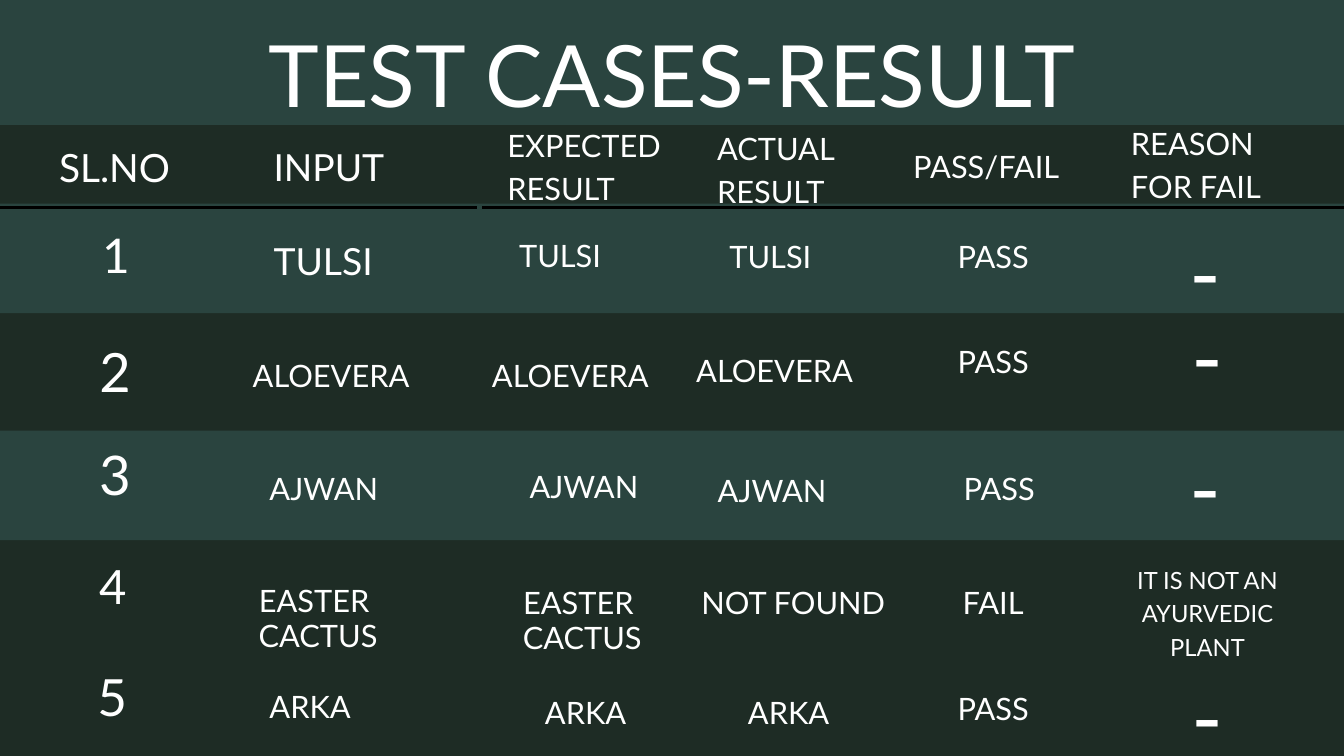
from pptx import Presentation, util as u
from pptx.dml.color import RGBColor
from pptx.enum import shapes, text
from pptx.oxml.ns import qn
from lxml import etree

FONT, WHITE, DARK, GREEN, BLACK = "Lato", "FFFFFF", "1E2C25", "2A443F", "000000"
L, C = text.PP_ALIGN.LEFT, text.PP_ALIGN.CENTER

HEADER = [
    ("SL.NO", 0.83, 0.16, 1.75, 41.7, C),
    ("INPUT", 4.07, 0.17, 2.29, 40, L),
    ("EXPECTED RESULT", 7.55, -0.07, 2.45, 33, L, 2),
    ("ACTUAL RESULT", 10.67, -0.02, 2.29, 33, L, 2),
    ("PASS/FAIL", 13.59, 0.24, 2.57, 33, L),
    ("REASON FOR FAIL", 16.83, -0.1, 2.29, 33, L, 2),
]
ROWS = [
    (3.03, [
        ("1", 1.52, 0.19, 0.38, 51.2, C),
        ("TULSI", 4.07, 0.4, 1.78, 40, L),
        ("TULSI", 7.68, 0.4, 1.31, 33, C, 2),
        ("TULSI", 10.81, 0.41, 1.31, 33, C, 2),
        ("PASS", 14.19, 0.41, 1.18, 33, C),
        ("-", 17.69, -0.01, 0.49, 92, C),
    ]),
    (4.66, [
        ("2", 1.48, 0.21, 0.45, 58, C),
        ("ALOEVERA", 3.76, 0.55, 2.91, 33, L),
        ("ALOEVERA", 7.32, 0.55, 2.91, 33, L),
        ("ALOEVERA", 10.36, 0.48, 2.91, 33, L),
        ("PASS", 14.19, 0.35, 1.18, 33, C),
        ("-", 17.72, -0.4, 0.49, 92, C),
    ]),
    (6.41, [
        ("3", 1.47, -0.01, 0.48, 58.5, C),
        ("AJWAN", 4.01, 0.49, 1.79, 33, L),
        ("AJWAN", 7.88, 0.46, 1.79, 33, L),
        ("AJWAN", 10.68, 0.52, 1.79, 33, L),
        ("PASS", 14.28, 0.49, 1.18, 33, C),
        ("-", 17.69, -0.2, 0.49, 92, C),
    ]),
    (8.04, [
        ("4", 1.46, 0.11, 0.44, 50.6, C),
        ("EASTER\n CACTUS", 2.68, 0.64, 3.99, 33, C, 2, 1.15),
        ("EASTER \nCACTUS", 6.67, 0.67, 3.99, 33, C, 2, 1.15),
        ("NOT FOUND", 9.81, 0.67, 3.99, 33, C, 1, 1.15),
        ("FAIL", 14.28, 0.56, 1, 33, C),
        ("IT IS NOT AN AYURVEDIC PLANT", 16.64, 0.31, 2.66, 25.4, C, 3),
    ]),
    (9.7, [
        ("5", 1.44, 0.04, 0.46, 54.9, C),
        ("ARKA", 4.01, 0.44, 1.34, 33, L),
        ("ARKA", 8.11, 0.53, 1.34, 33, L),
        ("ARKA", 11.13, 0.53, 1.34, 33, L),
        ("PASS", 14.19, 0.47, 1.18, 33, C),
        ("-", 17.72, -0.08, 0.49, 92, C),
    ]),
]


def rgb(value):
    """Turn a hex string into a colour."""
    return RGBColor.from_string(value)


def inches(*values):
    """Convert several numbers to lengths."""
    return [u.Inches(v) for v in values]


def write(sp, words, size, align, leading=1.4):
    """Fill a shape with white text whose line spacing follows its size."""
    tf = sp.text_frame
    tf.text = words
    tf.word_wrap = True
    tf.auto_size = text.MSO_AUTO_SIZE.SHAPE_TO_FIT_TEXT
    tf.vertical_anchor = text.MSO_ANCHOR.TOP
    tf.margin_left = tf.margin_right = tf.margin_top = tf.margin_bottom = 0
    for p in tf.paragraphs:
        p.alignment = align
        p.line_spacing = u.Pt(round(size * leading, 1))
        p.space_before = u.Pt(0)
        for r in p.runs:
            r.font.name, r.font.size = FONT, u.Pt(size)
            r.font.color.rgb = rgb(WHITE)


def add_band(s, left, top, width, height):
    """Draw a plain green band."""
    sp = s.shapes.add_shape(shapes.MSO_SHAPE.RECTANGLE, *inches(left, top, width, height))
    sp.shadow.inherit = False
    sp.fill.solid()
    sp.fill.fore_color.rgb = rgb(GREEN)
    sp.line.fill.background()


def add_title(s, left, top, width, height):
    """Place the title placeholder in front of the bands."""
    sp = s.shapes.title
    sp.left, sp.top, sp.width, sp.height = inches(left, top, width, height)
    write(sp, "TEST CASES-RESULT", 92, C)
    sp.element.getparent().append(sp.element)


def add_row(s, top, cells):
    """Place the cells of one row, measured from the top of the row."""
    for words, left, drop, width, size, align, *rest in cells:
        lines, leading = (*rest, *(1, 1.4)[len(rest):])
        height = round(lines * size * leading * 0.96 / 72, 2)
        sp = s.shapes.add_textbox(*inches(left, top + drop, width, height))
        write(sp, words, size, align, leading)


def add_rule(s, left, top, width):
    """Draw one piece of the line under the header."""
    sp = s.shapes.add_connector(
        shapes.MSO_CONNECTOR.STRAIGHT, *inches(left, top, left + width, top))
    sp.line.color.rgb = rgb(BLACK)
    sp.line.width = u.Pt(3)
    etree.SubElement(sp.element.spPr, qn("a:effectLst"))


def main():
    """Build the slide and save it."""
    prs = Presentation()
    prs.slide_width, prs.slide_height = inches(20, 11.25)
    s = prs.slides.add_slide(prs.slide_layouts[5])
    s.background.fill.solid()
    s.background.fill.fore_color.rgb = rgb(DARK)
    add_band(s, -0.47, -0.45, 20.83, 2.31)
    add_band(s, -0.42, 6.41, 20.84, 1.63)
    add_band(s, -0.19, 3.03, 20.84, 1.63)
    add_title(s, 2.92, 0.07, 14.17, 1.71)
    add_row(s, 1.86, HEADER)
    for left in (0, 7.18, 14.19):
        add_rule(s, left, 3.09, 7.1)
    for top, cells in ROWS:
        add_row(s, top, cells)
    prs.save("out.pptx")


if __name__ == "__main__":
    main()
